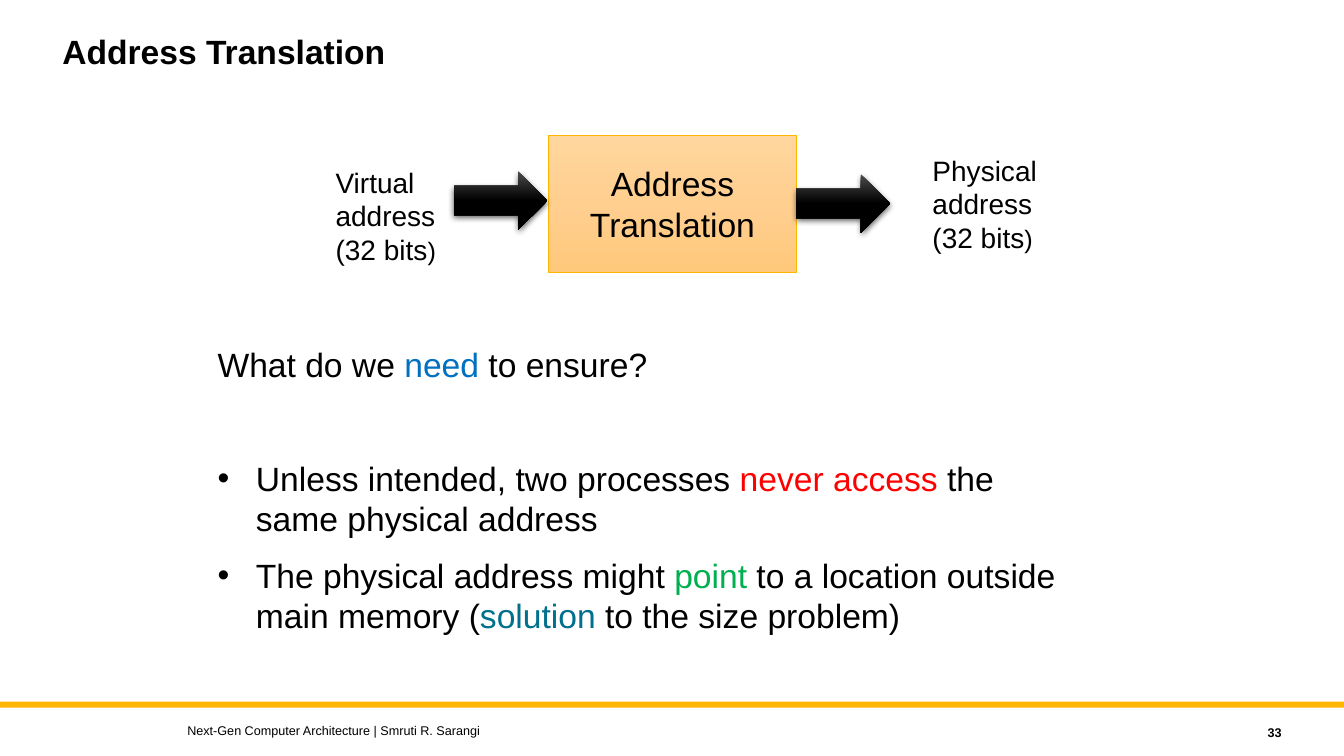
from copy import deepcopy
from dataclasses import dataclass, field
from typing import Any

from lxml.etree import SubElement
from pptx import Presentation
from pptx.dml.color import RGBColor
from pptx.enum.shapes import MSO_SHAPE
from pptx.enum.text import MSO_ANCHOR, PP_ALIGN
from pptx.oxml.ns import qn
from pptx.util import Inches, Pt

BLACK = RGBColor(0, 0, 0)
BLUE = RGBColor(0x00, 0x70, 0xC0)
RED = RGBColor(0xFF, 0, 0)
GREEN = RGBColor(0x00, 0xB0, 0x50)
TEAL = RGBColor(0x01, 0x70, 0x8C)
GOLD = RGBColor(0xFF, 0xB6, 0x00)
PEACH = (RGBColor(0xFF, 0xD6, 0x9E), RGBColor(0xFF, 0xCF, 0x90), RGBColor(0xFF, 0xC9, 0x7C))
COAL = (RGBColor(0x4B, 0x4B, 0x4B), BLACK, BLACK)


@dataclass
class Piece:
    text: str
    color: RGBColor = BLACK
    size: float | None = None


@dataclass
class Para:
    runs: list[Piece]
    form: dict[str, Any] = field(default_factory=dict)
    dot: bool = False


@dataclass
class Label:
    box: tuple[float, float, float, float]
    paras: list[Para]
    size: float
    bold: bool = False
    anchor: MSO_ANCHOR = MSO_ANCHOR.TOP


@dataclass
class Block:
    kind: MSO_SHAPE
    box: tuple[float, float, float, float]
    fill: tuple[RGBColor, ...]
    line: RGBColor | None = None
    shade: bool = False


def apply(target: Any, form: dict[str, Any]) -> None:
    for name, value in form.items():
        setattr(target, name, value)


def write(frame: Any, label: Label) -> None:
    apply(frame, {"word_wrap": True, "vertical_anchor": label.anchor})
    for index, para in enumerate(label.paras):
        line = frame.add_paragraph() if index else frame.paragraphs[0]
        if para.dot:
            props = line._p.get_or_add_pPr()
            apply_margin = {"marL": Inches(0.38), "indent": -Inches(0.38)}
            for name, value in apply_margin.items():
                props.set(name, str(value))
            SubElement(props, qn("a:buFont"), typeface="Arial")
            SubElement(props, qn("a:buChar"), char="•")
        apply(line, para.form)
        for piece in para.runs:
            run = line.add_run()
            run.text = piece.text
            size = Pt(piece.size or label.size)
            apply(run.font, {"name": "Arial", "size": size, "bold": label.bold})
            run.font.color.rgb = piece.color


def draw(shapes: Any, block: Block) -> Any:
    shape = shapes.add_shape(block.kind, *map(Inches, block.box))
    shape.shadow.inherit = False
    props = shape._element.spPr
    if len(block.fill) == 1:
        shape.fill.solid()
        shape.fill.fore_color.rgb = block.fill[0]
    else:
        shape.fill.gradient()
        shape.fill.gradient_angle = 270
        stops = props.find(qn("a:gradFill")).find(qn("a:gsLst"))
        stops.append(deepcopy(stops[-1]))
        for index, (stop, color) in enumerate(zip(shape.fill.gradient_stops, block.fill)):
            stop.position = index / 2
            stop.color.rgb = color
    if block.line is None:
        shape.line.fill.background()
    else:
        shape.line.color.rgb = block.line
        shape.line.width = Pt(0.5)
    if block.shade:
        shadow = SubElement(props.find(qn("a:effectLst")), qn("a:outerShdw"),
                            blurRad=str(Pt(4.5)), dist=str(Pt(1.5)),
                            dir="5400000", rotWithShape="0")
        tone = SubElement(shadow, qn("a:srgbClr"), val=str(BLACK))
        SubElement(tone, qn("a:alpha"), val="63000")
    return shape


def bits(kind: str, left: float, top: float) -> Label:
    runs = [Piece(f"{kind} address (32 bits"), Piece(")", size=18)]
    return Label((left, top, 1.44, 1.11), [Para(runs)], 20)


CENTER = {"alignment": PP_ALIGN.CENTER}
STAGE = (5.44, 1.34, 2.46, 1.36)
BAR = Block(MSO_SHAPE.RECTANGLE, (0, 6.96, 13.33, 0.06), (GOLD,))
BOX = Block(MSO_SHAPE.RECTANGLE, STAGE, PEACH, GOLD)
ARROWS = [
    Block(MSO_SHAPE.RIGHT_ARROW, (left, top, 0.93, 0.58), COAL, shade=True)
    for left, top in ((4.5, 1.7), (7.9, 1.73))
]
STEP = Label(STAGE, [Para([Piece(word)], CENTER) for word in ("Address", "Translation")],
             24, anchor=MSO_ANCHOR.MIDDLE)
LABELS = [
    Label((0.52, 0.3, 10, 0.9), [Para([Piece("Address Translation")], {"line_spacing": 0.9})],
          24, bold=True),
    Label((2.06, 3.36, 8.77, 3.06), [
        Para([Piece("What do we "), Piece("need", BLUE), Piece(" to ensure?")]),
        Para([Piece("Unless intended, two processes "), Piece("never access ", RED),
              Piece("the same physical address")], {"space_before": Pt(52.5)}, dot=True),
        Para([Piece("The physical address might "), Piece("point", GREEN),
              Piece(" to a location outside main memory ("), Piece("solution", TEAL),
              Piece(" to the size problem)")], {"space_before": Pt(12)}, dot=True),
    ], 24),
    bits("Virtual", 3.23, 1.59),
    bits("Physical", 9.15, 1.47),
    Label((1.76, 7.12, 8, 0.25),
          [Para([Piece("Next-Gen Computer Architecture | Smruti R. Sarangi")])],
          9, anchor=MSO_ANCHOR.MIDDLE),
    Label((11.41, 7.14, 1.4, 0.25), [Para([Piece("33")], {"alignment": PP_ALIGN.RIGHT})],
          9, bold=True, anchor=MSO_ANCHOR.MIDDLE),
]


def main() -> None:
    deck = Presentation()
    apply(deck, {"slide_width": Inches(13.33), "slide_height": Inches(7.5)})
    shapes = deck.slides.add_slide(deck.slide_layouts[6]).shapes
    draw(shapes, BAR)
    write(draw(shapes, BOX).text_frame, STEP)
    for arrow in ARROWS:
        draw(shapes, arrow)
    for label in LABELS:
        write(shapes.add_textbox(*map(Inches, label.box)).text_frame, label)
    deck.save("out.pptx")


if __name__ == "__main__":
    main()
